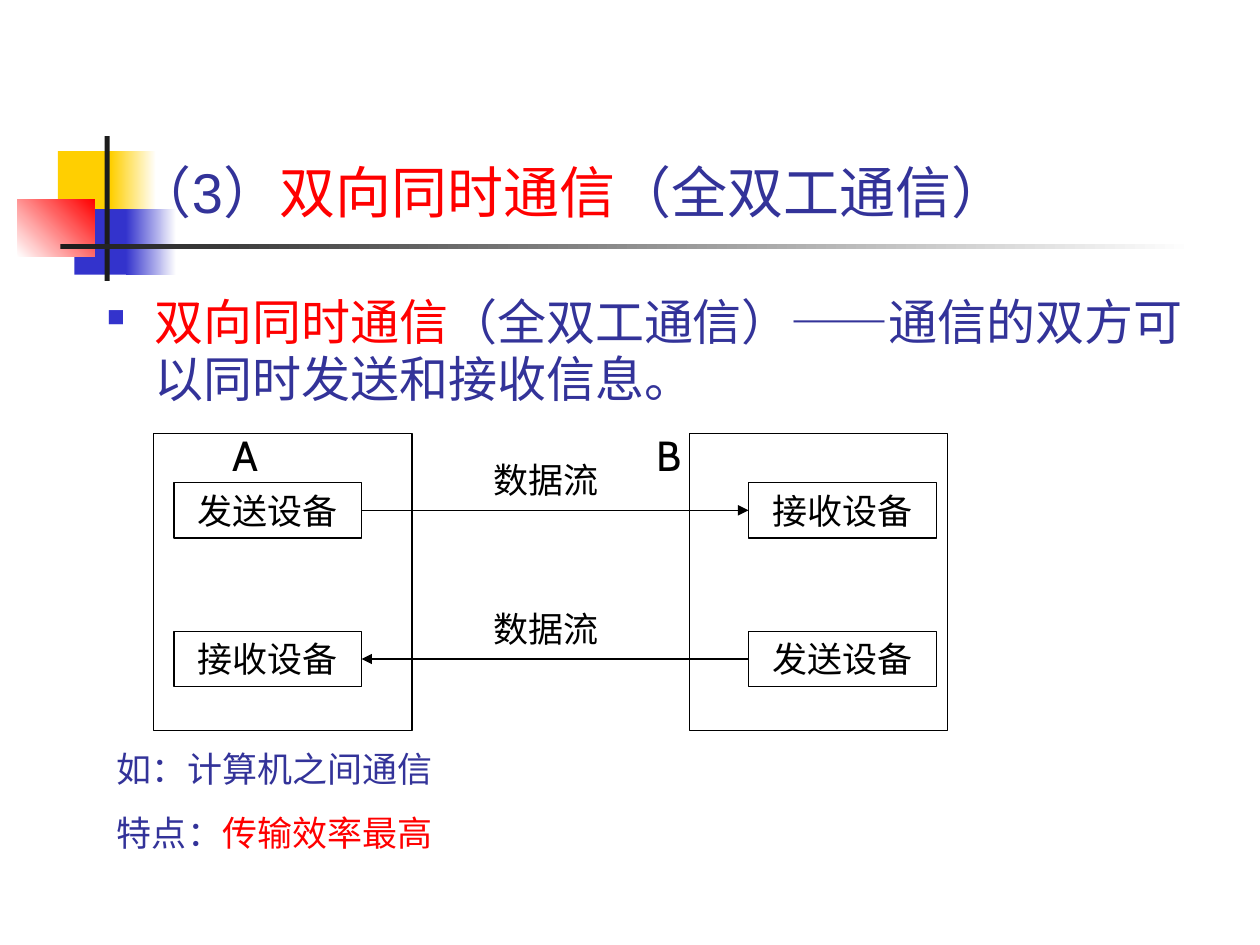
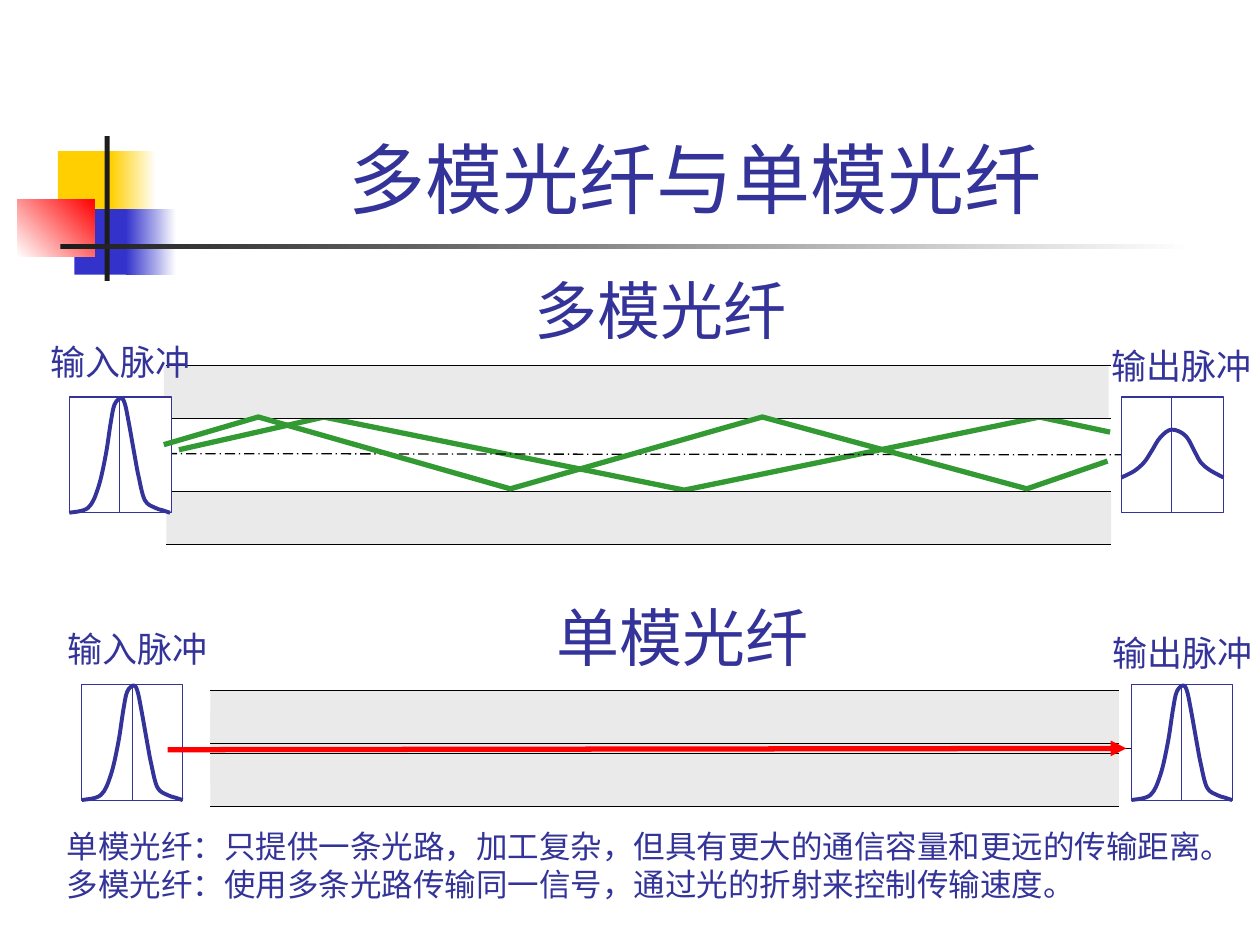
from dataclasses import dataclass
from typing import Optional

from lxml.etree import SubElement
from pptx import Presentation
from pptx.dml.color import RGBColor
from pptx.enum.dml import MSO_LINE
from pptx.enum.shapes import MSO_CONNECTOR, MSO_SHAPE
from pptx.enum.text import MSO_ANCHOR, PP_ALIGN
from pptx.oxml.ns import qn
from pptx.util import Pt

# Shared measures, colours and fonts
PX = 9144  # 100 px to the inch
NAVY = RGBColor(0x33, 0x33, 0x99)
BLUE = RGBColor(0x33, 0x33, 0xCC)
YELLOW = RGBColor(0xFF, 0xCF, 0x01)
RED = RGBColor(0xFF, 0x00, 0x00)
GREEN = RGBColor(0x33, 0x99, 0x33)
INK = RGBColor(0x1C, 0x1C, 0x1C)
GREY = RGBColor(0xEA, 0xEA, 0xEA)
BLACK = RGBColor(0x00, 0x00, 0x00)
WHITE = RGBColor(0xFF, 0xFF, 0xFF)
ARIAL, CABIN, CJK = "Arial", "Cabin", "Noto Sans CJK SC"
LEADING = 1.21

Point = tuple[float, float]


@dataclass(frozen=True)
class Box:
    left: int
    top: int
    width: int
    height: int

    def emu(self) -> tuple[int, ...]:
        return tuple(n * PX for n in (self.left, self.top, self.width, self.height))


@dataclass(frozen=True)
class Style:
    size: int
    font: str
    color: RGBColor
    align: PP_ALIGN = PP_ALIGN.LEFT
    space_before: float = 0
    leading: Optional[float] = None


@dataclass(frozen=True)
class Band:
    box: Box
    start: RGBColor
    end: Optional[RGBColor] = None
    angle: int = 0


@dataclass(frozen=True)
class Pulse:
    label: str
    label_left: int
    label_top: int
    left: int
    curve: tuple[Point, ...]
    curve_top: int


@dataclass(frozen=True)
class Fiber:
    name: str
    name_left: int
    name_top: int
    left: int
    upper_left: int
    width: int
    upper_top: int
    lower_top: int
    axis: tuple[Point, Point]
    pulse_top: int
    pulse_width: int
    frame_weight: float
    pulses: tuple[Pulse, Pulse]


# Corner ornament and rule on every slide
ORNAMENT = (
    Band(Box(46, 120, 48, 52), YELLOW),
    Band(Box(88, 120, 36, 52), YELLOW, WHITE),
    Band(Box(59, 166, 46, 52), BLUE),
    Band(Box(100, 166, 40, 52), BLUE, WHITE),
    Band(Box(14, 158, 61, 46), WHITE, RED, 45),
    Band(Box(83, 108, 4, 115), INK),
    Band(Box(48, 194, 900, 4), INK, WHITE),
)

# Text styles
DEVICE = Style(20, CABIN, BLACK, PP_ALIGN.CENTER)
STREAM = Style(20, CABIN, BLACK)
STATION = Style(24, CABIN, BLACK)
REMARK = Style(20, ARIAL, NAVY, space_before=12.5)
PULSE_LABEL = Style(20, CJK, NAVY)
FIBER_NAME = Style(36, CABIN, NAVY)
SUMMARY = Style(18, CJK, NAVY)

# Pulse outlines, measured from the left end and the peak
SHARP = ((0, 91), (15, 87), (23, 71), (29, 45), (33, 19), (36, 5), (41, 0), (44, 4),
         (47, 18), (52, 46), (55, 62), (60, 81), (68, 87), (74, 89), (80, 91))
SPREAD = ((0, 38), (10, 33), (18, 26), (24, 17), (31, 6), (40, 0),
          (51, 5), (59, 19), (63, 26), (70, 32), (81, 38))
CLADDING = 42
PULSE_HEIGHT = 92

MULTIMODE = Fiber(
    "多模光纤", 414, 210, 132, 130, 750, 290, 390, ((117, 360), (894, 361)), 315, 81, 0.75,
    (Pulse("输入脉冲", 30, 265, 55, SHARP, 316), Pulse("输出脉冲", 872, 268, 890, SPREAD, 341)))
SINGLE_MODE = Fiber(
    "单模光纤", 432, 470, 167, 167, 721, 548, 598, ((153, 594), (900, 594)), 543, 80, 0.5,
    (Pulse("输入脉冲", 44, 493, 65, SHARP, 544), Pulse("输出脉冲", 873, 496, 898, SHARP, 544)))
LONG_RAY = ((142, 357), (257, 331), (543, 389), (825, 331), (881, 343))
STEEP_RAY = ((130, 353), (205, 331), (405, 388), (605, 331), (815, 388), (879, 366))


# Drawing helpers
def draw_rect(slide, box: Box, fill: Optional[RGBColor] = None,
              line: Optional[RGBColor] = None, weight: float = 0.75):
    rect = slide.shapes.add_shape(MSO_SHAPE.RECTANGLE, *box.emu())
    rect.shadow.inherit = False
    if fill is None:
        rect.fill.background()
    else:
        rect.fill.solid()
        rect.fill.fore_color.rgb = fill
    if line is None:
        rect.line.fill.background()
    else:
        rect.line.color.rgb = line
        rect.line.width = Pt(weight)
    return rect


def draw_band(slide, band: Band) -> None:
    rect = draw_rect(slide, band.box, band.start)
    if band.end is not None:
        rect.fill.gradient()
        rect.fill.gradient_angle = band.angle
        for stop, color in zip(rect.fill.gradient_stops, (band.start, band.end)):
            stop.color.rgb = color


def draw_line(slide, start: Point, end: Point, color: RGBColor = BLACK,
              weight: float = 0.75, arrow: bool = False, dashed: bool = False):
    line = slide.shapes.add_connector(MSO_CONNECTOR.STRAIGHT, *(n * PX for n in start + end))
    line.line.color.rgb = color
    line.line.width = Pt(weight)
    if dashed:
        line.line.dash_style = MSO_LINE.LONG_DASH_DOT
    properties = line._element.spPr
    if arrow:
        SubElement(properties.find(qn("a:ln")), qn("a:tailEnd"), type="triangle")
    SubElement(properties, qn("a:effectLst"))
    return line


def draw_outline(slide, points, color: RGBColor, weight: float):
    first, *rest = [(x * PX, y * PX) for x, y in points]
    builder = slide.shapes.build_freeform(*first)
    builder.add_line_segments(rest, close=False)
    outline = builder.convert_to_shape()
    outline.shadow.inherit = False
    outline.fill.background()
    outline.line.color.rgb = color
    outline.line.width = Pt(weight)
    return outline


def draw_curve(slide, points, color: RGBColor, weight: float) -> None:
    """Draw an outline whose straight segments become smooth Bézier ones."""
    outline = draw_outline(slide, points, color, weight)
    local = [(x * PX - outline.left, y * PX - outline.top) for x, y in points]
    padded = [local[0], *local, local[-1]]
    segments = list(outline._element.iter(qn("a:lnTo")))
    for segment, a, b, c, d in zip(segments, padded, padded[1:], padded[2:], padded[3:]):
        leaving = [q + (r - p) / 6 for p, q, r in zip(a, b, c)]
        arriving = [r - (s - q) / 6 for q, r, s in zip(b, c, d)]
        bezier = segment.makeelement(qn("a:cubicBezTo"))
        for x, y in (leaving, arriving, c):
            SubElement(bezier, qn("a:pt"), x=str(round(x)), y=str(round(y)))
        segment.getparent().replace(segment, bezier)


def set_font(paragraph, style: Style) -> None:
    paragraph.alignment = style.align
    paragraph.line_spacing = Pt(style.leading or style.size * LEADING)
    font = paragraph.font
    font.size = Pt(style.size)
    font.color.rgb = style.color
    font.name = style.font
    defaults = paragraph._p.get_or_add_pPr().find(qn("a:defRPr"))
    SubElement(defaults, qn("a:ea"), typeface=CJK)


def write(frame, style: Style, *lines) -> None:
    """Each line is a string, or a list of (text, colour) pieces."""
    for index, line in enumerate(lines):
        paragraph = frame.add_paragraph() if index else frame.paragraphs[0]
        if index and style.space_before:
            paragraph.space_before = Pt(style.space_before)
        pieces = [(line, style.color)] if isinstance(line, str) else line
        for text, color in pieces:
            run = paragraph.add_run()
            run.text = text
            if color != style.color:
                run.font.color.rgb = color
        set_font(paragraph, style)


def new_frame(slide, box: Box, wrap: bool = True):
    frame = slide.shapes.add_textbox(*box.emu()).text_frame
    frame.word_wrap = wrap
    return frame


def draw_text(slide, box: Box, style: Style, *lines, wrap: bool = True):
    frame = new_frame(slide, box, wrap)
    write(frame, style, *lines)
    return frame


def add_bullet(paragraph) -> None:
    properties = paragraph._p.get_or_add_pPr()
    properties.set("marL", str(38 * PX))
    properties.set("indent", str(-38 * PX))
    color = SubElement(properties, qn("a:buClr"))
    SubElement(color, qn("a:srgbClr"), val=str(BLUE))
    SubElement(properties, qn("a:buSzPct"), val="50000")
    SubElement(properties, qn("a:buChar"), char="■")


def add_tabs(paragraph, *stops: int) -> None:
    tabs = SubElement(paragraph._p.get_or_add_pPr(), qn("a:tabLst"))
    for stop in stops:
        SubElement(tabs, qn("a:tab"), pos=str(stop * PX), algn="l")


def new_slide(deck, title_box: Box, title_style: Style, title):
    slide = deck.slides.add_slide(deck.slide_layouts[6])
    for band in ORNAMENT:
        draw_band(slide, band)
    frame = draw_text(slide, title_box, title_style, title)
    frame.vertical_anchor = MSO_ANCHOR.BOTTOM
    return slide


# Slide 1: full duplex communication
def draw_device(slide, left: int, top: int, name: str):
    device = draw_rect(slide, Box(left, top, 149, 44), line=BLACK)
    write(device.text_frame, DEVICE, name)
    device.text_frame.vertical_anchor = MSO_ANCHOR.TOP
    return device


def draw_stream(slide, sender, receiver, sender_side: int, top: int) -> None:
    stream = draw_line(slide, (287, top + 22), (594, top + 22), arrow=True)
    stream.begin_connect(sender, sender_side)
    stream.end_connect(receiver, 4 - sender_side)
    draw_text(slide, Box(382, top - 24, 138, 44), STREAM, "数据流")


def build_duplex(deck) -> None:
    slide = new_slide(deck, Box(98, 23, 880, 160), Style(32, ARIAL, NAVY),
                      [("（3）", NAVY), ("双向同时通信", RED), ("（全双工通信）", NAVY)])

    definition = new_frame(slide, Box(75, 232, 889, 474))
    definition.margin_top = 0
    add_bullet(definition.paragraphs[0])
    write(definition, Style(28, ARIAL, NAVY, leading=33),
          [("双向同时通信", RED), ("（全双工通信）——通信的双方可以同时发送和接收信息。", NAVY)])

    stations = new_frame(slide, Box(138, 336, 677, 233))
    add_tabs(stations.paragraphs[0], 37, 373)
    write(stations, STATION, "\tA\tB")
    for left in (122, 547):
        draw_rect(slide, Box(left, 344, 205, 236), line=BLACK)

    for top, name_a, name_b in ((383, "发送设备", "接收设备"), (501, "接收设备", "发送设备")):
        device_a = draw_device(slide, 138, top, name_a)
        device_b = draw_device(slide, 594, top, name_b)
        if name_a == "发送设备":
            draw_stream(slide, device_a, device_b, 3, top)
        else:
            draw_stream(slide, device_b, device_a, 1, top)

    draw_text(slide, Box(83, 588, 299, 94), REMARK, "如：计算机之间通信",
              [("特点：", NAVY), ("传输效率最高", RED)])


# Slide 2: multimode and single-mode fiber
def draw_pulse(slide, fiber: Fiber, pulse: Pulse) -> None:
    top, middle = fiber.pulse_top, pulse.left + 40
    draw_rect(slide, Box(pulse.left, top, fiber.pulse_width, PULSE_HEIGHT),
              WHITE, NAVY, fiber.frame_weight)
    draw_line(slide, (middle, top), (middle, top + PULSE_HEIGHT), NAVY, 0.5)
    draw_curve(slide, [(pulse.left + x, pulse.curve_top + y) for x, y in pulse.curve], NAVY, 2.25)
    draw_text(slide, Box(pulse.label_left, pulse.label_top, 131, 44), PULSE_LABEL,
              pulse.label, wrap=False)


def draw_fiber(slide, fiber: Fiber) -> None:
    for left, top in ((fiber.upper_left, fiber.upper_top), (fiber.left, fiber.lower_top)):
        draw_rect(slide, Box(left, top, fiber.width, CLADDING), GREY)
        for edge in (top, top + CLADDING):
            draw_line(slide, (fiber.left, edge), (fiber.left + fiber.width, edge))
    draw_line(slide, *fiber.axis, dashed=True)
    for pulse in fiber.pulses:
        draw_pulse(slide, fiber, pulse)
    draw_text(slide, Box(fiber.name_left, fiber.name_top, 220, 70), FIBER_NAME,
              fiber.name, wrap=False)


def build_fibers(deck) -> None:
    slide = new_slide(deck, Box(126, 23, 852, 160),
                      Style(44, ARIAL, NAVY, PP_ALIGN.CENTER), "多模光纤与单模光纤")
    draw_rect(slide, Box(167, 565, 721, 58), GREY)
    draw_fiber(slide, SINGLE_MODE)
    draw_outline(slide, LONG_RAY, GREEN, 3)
    draw_fiber(slide, MULTIMODE)
    draw_line(slide, (133, 595), (894, 594), RED, 3, arrow=True)
    draw_outline(slide, STEEP_RAY, GREEN, 3)
    draw_text(slide, Box(43, 651, 969, 70), SUMMARY,
              "单模光纤：只提供一条光路，加工复杂，但具有更大的通信容量和更远的传输距离。",
              "多模光纤：使用多条光路传输同一信号，通过光的折射来控制传输速度。")


def main() -> None:
    deck = Presentation()
    deck.slide_width, deck.slide_height = 1000 * PX, 750 * PX
    build_duplex(deck)
    build_fibers(deck)
    deck.save("out.pptx")


if __name__ == "__main__":
    main()
